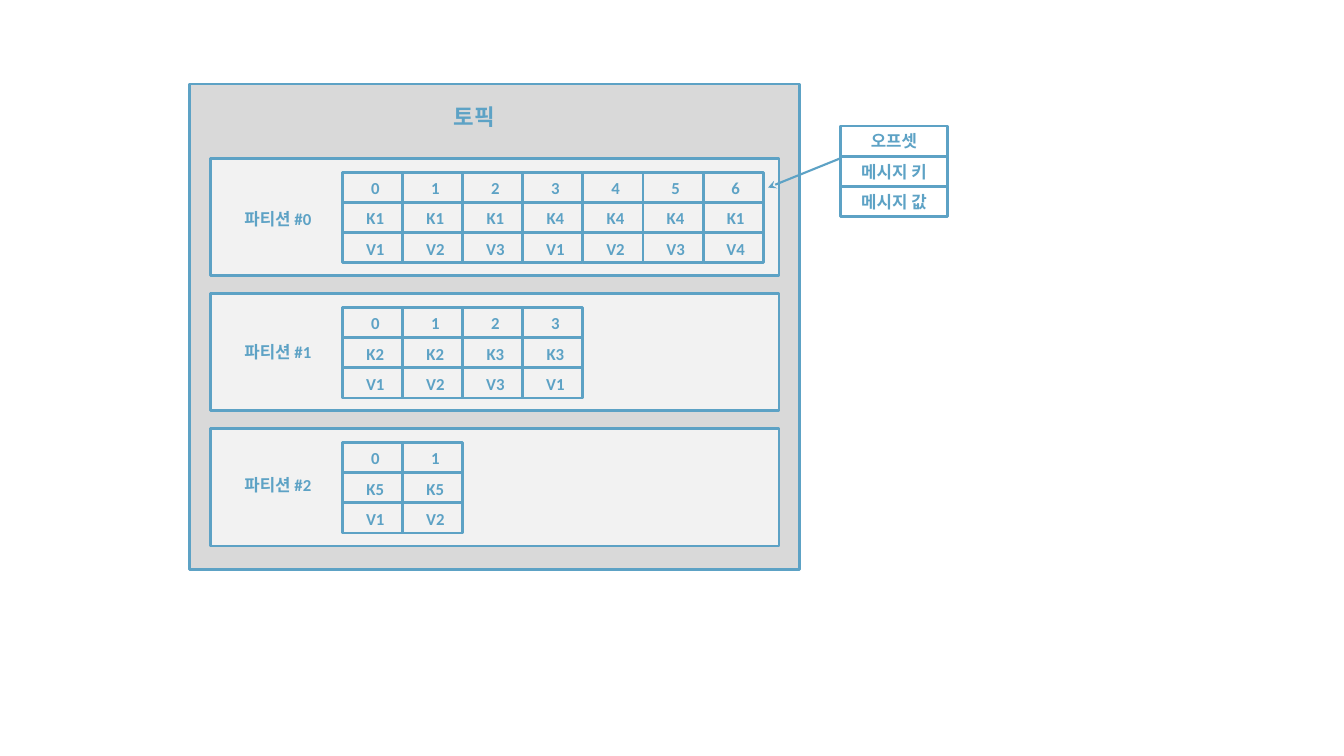
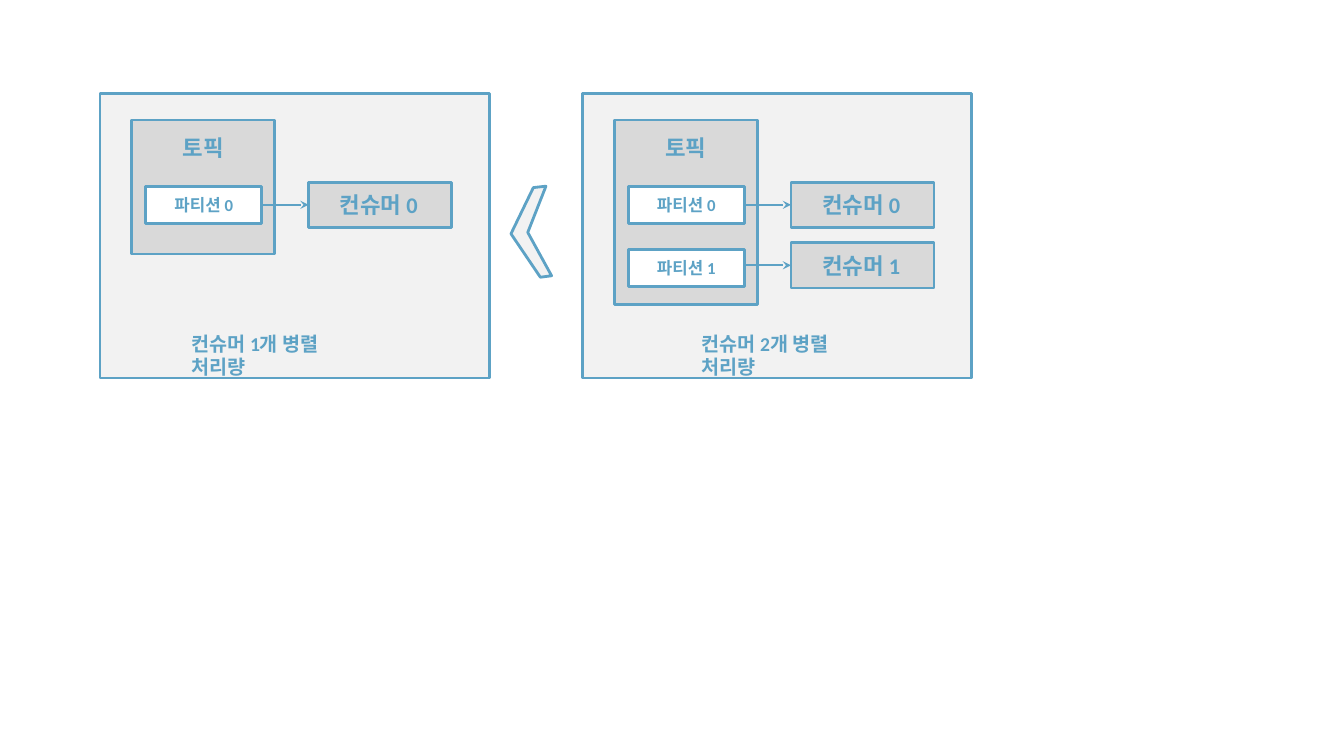
import pptx
import pptx.util
import pptx.dml.color
import pptx.enum.shapes
import pptx.enum.text
from lxml import etree

Pt = pptx.util.Pt
ALIGN = pptx.enum.text.PP_ALIGN
ANCHOR = pptx.enum.text.MSO_ANCHOR
A = "http://schemas.openxmlformats.org/drawingml/2006/main"

BLUE, GRAY, PALE, WHITE = "5DA2C5", "D9D9D9", "F2F2F2", "FFFFFF"
FONT = "Calibri"
LARGE, MEDIUM, SMALL = 16, 14, 12
CELL_HEIGHT = 21.6


def rgb(color):
    return pptx.dml.color.RGBColor.from_string(color)


def write(sp, text, size=SMALL, color=BLUE, align=ALIGN.CENTER,
          anchor=ANCHOR.MIDDLE, margins=(0, 0, 0, 0)):
    tf = sp.text_frame
    tf.word_wrap = True
    tf.vertical_anchor = anchor
    (tf.margin_left, tf.margin_top,
     tf.margin_right, tf.margin_bottom) = map(Pt, margins)
    p = tf.paragraphs[0]
    p.alignment = align
    r = p.add_run()
    r.text = text
    r.font.name, r.font.size, r.font.bold = FONT, Pt(size), True
    r.font.color.rgb = rgb(color)


def outline(sp, fill=None):
    """Give a shape the shared blue outline and an optional fill."""
    sp.shadow.inherit = False
    if fill:
        sp.fill.solid()
        sp.fill.fore_color.rgb = rgb(fill)
    else:
        sp.fill.background()
    sp.line.color.rgb = rgb(BLUE)
    sp.line.width = Pt(2)


def box(s, x, y, w, h, fill=None, text=None, **fmt):
    sp = s.shapes.add_shape(pptx.enum.shapes.MSO_SHAPE.RECTANGLE,
                            Pt(x), Pt(y), Pt(w), Pt(h))
    outline(sp, fill)
    if text:
        write(sp, text, **fmt)


def label(s, x, y, w, h, text, **fmt):
    write(s.shapes.add_textbox(Pt(x), Pt(y), Pt(w), Pt(h)), text, **fmt)


def arrow(s, x1, y1, x2, y2):
    line = s.shapes.add_connector(pptx.enum.shapes.MSO_CONNECTOR.STRAIGHT,
                                  Pt(x1), Pt(y1), Pt(x2), Pt(y2))
    line.line.color.rgb = rgb(BLUE)
    line.line.width = Pt(1.5)
    etree.SubElement(line.line._get_or_add_ln(), f"{{{A}}}tailEnd", type="stealth")
    etree.SubElement(line._element.spPr, f"{{{A}}}effectLst")


def message(s, x, y, w, rows, **fmt):
    """Stack the offset, key and value cells of one message."""
    for i, text in enumerate(rows):
        box(s, x, y + i * CELL_HEIGHT, w, CELL_HEIGHT, text=text, **fmt)


def partition_row(s, index, keys, values):
    y = 113 + 96.5 * index
    cell_width = 42.9
    box(s, 150.5, y, 406, 84, PALE)
    label(s, 154.5, 145.5 + 95 * index, 88, CELL_HEIGHT, f"파티션 #{index}")
    for offset, (key, value) in enumerate(zip(keys, values)):
        message(s, 244.8 + offset * cell_width, y + 10, cell_width,
                (str(offset), key, value), margins=(3.6, 1, 0, 0))


def topic_slide(s):
    box(s, 135.5, 60, 435.5, 347, GRAY)
    label(s, 288, 70, 102, 26.6, "토픽", size=LARGE)
    partitions = [
        ("K1 K1 K1 K4 K4 K4 K1", "V1 V2 V3 V1 V2 V3 V4"),
        ("K2 K2 K3 K3", "V1 V2 V3 V1"),
        ("K5 K5", "V1 V2"),
    ]
    for index, (keys, values) in enumerate(partitions):
        partition_row(s, index, keys.split(), values.split())
    arrow(s, 600.5, 113, 548.6, 134)
    message(s, 600.5, 90, 76.2, ("오프셋", "메시지 키", "메시지 값"))


def consumer_panel(s, x, count, topic_height, caption_x):
    """Draw a topic whose partitions each feed one consumer."""
    box(s, x, 67, 278, 203, PALE)
    box(s, x + 22.7, 85.7, 102.2, topic_height, GRAY, "토픽",
        size=LARGE, anchor=ANCHOR.TOP, margins=(0, 10, 0, 0))
    for i in range(count):
        y = 146.3 + 43.2 * i
        box(s, x + 32.7, 133.2 + 44.8 * i, 83, 26.6, WHITE, f"파티션 {i}")
        box(s, x + 149, y - 16.2, 102.2, 32.4, GRAY, f"컨슈머 {i}",
            size=LARGE, margins=(0, 0, 2, 0))
        arrow(s, x + 115.4, y, x + 149, y)
    label(s, caption_x, 233.3, 141.8, 24.5, f"컨슈머 {count}개 병렬 처리량",
          size=MEDIUM, align=ALIGN.LEFT, anchor=ANCHOR.TOP,
          margins=(7.2, 3.6, 7.2, 3.6))


def less_than_sign(s):
    builder = s.shapes.build_freeform(394, 197, scale=Pt(1))
    builder.add_line_segments(
        [(386, 198), (365, 167), (381, 134), (390, 133), (377, 166)], close=True)
    outline(builder.convert_to_shape(), PALE)


def throughput_slide(s):
    consumer_panel(s, 71.4, 1, 95.8, 129.6)
    consumer_panel(s, 416, 2, 131.8, 494)
    less_than_sign(s)


def main():
    prs = pptx.Presentation()
    prs.slide_width, prs.slide_height = Pt(960), Pt(540)
    blank = prs.slide_layouts[6]
    for draw in (topic_slide, throughput_slide):
        draw(prs.slides.add_slide(blank))
    prs.save("out.pptx")


if __name__ == "__main__":
    main()
